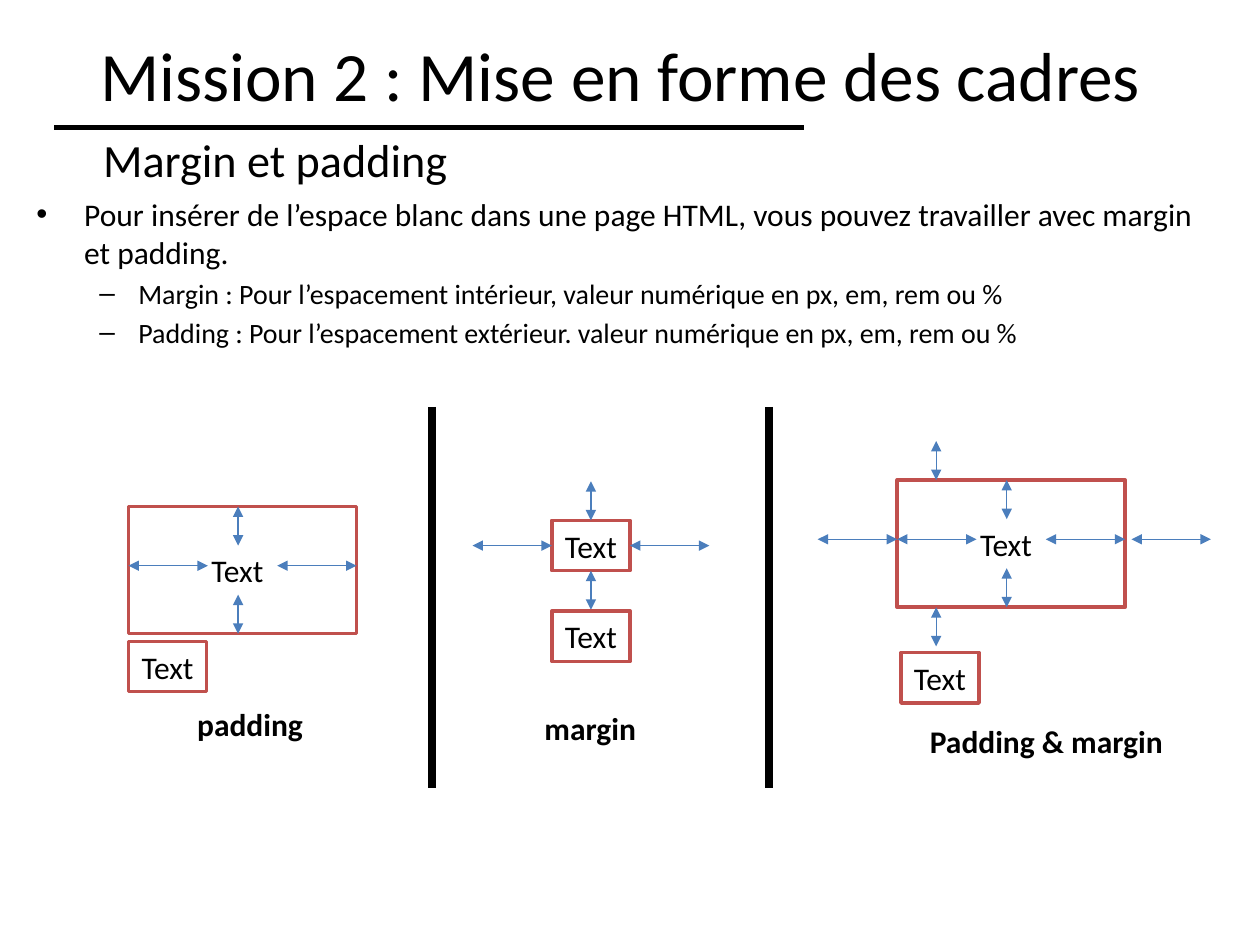
from dataclasses import dataclass

from lxml.etree import SubElement
from pptx import Presentation
from pptx.dml.color import RGBColor
from pptx.enum.shapes import MSO_CONNECTOR, MSO_SHAPE
from pptx.enum.text import MSO_ANCHOR, PP_ALIGN
from pptx.oxml.ns import qn
from pptx.util import Inches, Pt


@dataclass(frozen=True)
class Theme:
    font: str = "Calibri"
    ink: RGBColor = RGBColor(0, 0, 0)
    paper: RGBColor = RGBColor(0xFF, 0xFF, 0xFF)
    frame: RGBColor = RGBColor(0xC0, 0x50, 0x4D)
    arrow: RGBColor = RGBColor(0x4B, 0x7E, 0xBC)
    title: float = 39.6
    subtitle: float = 26.4
    body: float = 18
    detail: float = 16


THEME = Theme()
TITLE = "Mission 2 : Mise en forme des cadres"
SUBTITLE = "Margin et padding"
# text, size, left margin, hanging indent, bullet
BULLETS = [
    ("Pour insérer de l’espace blanc dans une page HTML, vous pouvez travailler "
     "avec margin et padding.", THEME.body, 0.38, 0.38, "•"),
    ("Margin : Pour l’espacement intérieur, valeur numérique en px, em, rem ou %",
     THEME.detail, 0.81, 0.31, "–"),
    ("Padding : Pour l’espacement extérieur. valeur numérique en px, em, rem ou %",
     THEME.detail, 0.81, 0.31, "–"),
]
BOX_TEXT = "Text"
SMALL_BOX = (0.62, 0.4)
PADDED_BOX = (1.81, 1.01)
ARROW_WIDTH, ARROW_HEIGHT = 0.63, 0.31
SMALL_BOXES = [(1.02, 5.09), (4.38, 4.85), (7.15, 5.18)]
PADDED_BOXES = [(1.02, 4.02), (7.12, 3.81)]
MARGIN_BOX = (4.38, 4.13)
CAPTIONS = [("padding", 1.46, 5.55, 1.05), ("margin", 4.22, 5.58, 0.93),
            ("Padding & margin", 7.27, 5.68, 2.07)]
DIVIDERS = [3.43, 6.1]
DIVIDER_TOP, DIVIDER_BOTTOM = 3.23, 6.25


def add_text(paragraph, text, size, bold=False):
    run = paragraph.add_run()
    run.text = text
    run.font.name = THEME.font
    run.font.size = Pt(size)
    run.font.bold = bold
    run.font.color.rgb = THEME.ink


def add_text_box(slide, left, top, width, height):
    frame = slide.shapes.add_textbox(*map(Inches, (left, top, width, height))).text_frame
    frame.word_wrap = True
    return frame


def add_line(slide, start, end, color, weight):
    line = slide.shapes.add_connector(
        MSO_CONNECTOR.STRAIGHT, *map(Inches, (*start, *end)))
    line.line.color.rgb = color
    line.line.width = Pt(weight)
    SubElement(line._element.spPr, qn("a:effectLst"))
    return line


def add_arrow(slide, left, top, horizontal=0, vertical=0):
    """Draw a double-headed arrow spanning the given signed lengths."""
    arrow = add_line(slide, (left, top), (left + horizontal, top + vertical),
                     THEME.arrow, 0.75)
    outline = arrow.line._get_or_add_ln()
    for end in ("a:headEnd", "a:tailEnd"):
        SubElement(outline, qn(end), type="triangle")
    return arrow


def add_box(slide, position, size, right_inset=0.1):
    box = slide.shapes.add_shape(MSO_SHAPE.RECTANGLE, *map(Inches, (*position, *size)))
    box.shadow.inherit = False
    box.fill.solid()
    box.fill.fore_color.rgb = THEME.paper
    box.line.color.rgb = THEME.frame
    box.line.width = Pt(2)
    frame = box.text_frame
    frame.margin_right = Inches(right_inset)
    frame.vertical_anchor = MSO_ANCHOR.MIDDLE
    paragraph = frame.paragraphs[0]
    paragraph.alignment = PP_ALIGN.CENTER
    add_text(paragraph, BOX_TEXT, THEME.body)
    return box


def add_padded_box(slide, left, top):
    """Draw a large box with four arrows between its text and its sides."""
    width, height = PADDED_BOX
    add_box(slide, (left, top), PADDED_BOX, right_inset=0.18)
    center, middle = left + 0.87, top + 0.47
    add_arrow(slide, center, top, vertical=ARROW_HEIGHT)
    add_arrow(slide, center, top + height, vertical=-ARROW_HEIGHT)
    add_arrow(slide, left, middle, horizontal=ARROW_WIDTH)
    add_arrow(slide, left + width, middle, horizontal=-ARROW_WIDTH)


def add_margin_box(slide, left, top):
    """Draw a small box with an arrow joined to the middle of each side."""
    width, height = SMALL_BOX
    box = add_box(slide, (left, top), SMALL_BOX)
    center, middle = left + width / 2, top + height / 2
    arrows = [
        (center, top, 0, -ARROW_HEIGHT),
        (left, middle, -ARROW_WIDTH, 0),
        (center, top + height, 0, ARROW_HEIGHT),
        (left + width, middle, ARROW_WIDTH, 0),
    ]
    for side, arrow in enumerate(arrows):
        add_arrow(slide, *arrow).begin_connect(box, side)


def add_outer_arrows(slide, left, top):
    width, height = PADDED_BOX
    center, middle = left + 0.31, top + 0.47
    add_arrow(slide, center, top, vertical=-ARROW_HEIGHT)
    add_arrow(slide, center, top + height, vertical=ARROW_HEIGHT)
    add_arrow(slide, left, middle, horizontal=-ARROW_WIDTH)
    add_arrow(slide, left + width + 0.05, middle, horizontal=ARROW_WIDTH)


def add_heading(slide):
    add_line(slide, (0.43, 1.01), (6.38, 1.01), THEME.ink, 3)
    title = slide.shapes.title
    title.left, title.top, title.width, title.height = map(
        Inches, (0.28, 0.35, 9.29, 0.47))
    title.text_frame.vertical_anchor = MSO_ANCHOR.MIDDLE
    paragraph = title.text_frame.paragraphs[0]
    paragraph.alignment = PP_ALIGN.CENTER
    add_text(paragraph, TITLE, THEME.title)
    subtitle = add_text_box(slide, 0.72, 1.03, 9.28, 0.47)
    subtitle.vertical_anchor = MSO_ANCHOR.MIDDLE
    add_text(subtitle.paragraphs[0], SUBTITLE, THEME.subtitle)


def add_bullets(slide):
    frame = add_text_box(slide, 0.19, 1.5, 9.61, 1.5)
    for index, (text, size, margin, hanging, bullet) in enumerate(BULLETS):
        paragraph = frame.add_paragraph() if index else frame.paragraphs[0]
        paragraph.space_before = Pt(size * 0.2)
        properties = paragraph._p.get_or_add_pPr()
        properties.set("marL", str(Inches(margin)))
        properties.set("indent", str(-Inches(hanging)))
        SubElement(properties, qn("a:buFont"), typeface="Arial")
        SubElement(properties, qn("a:buChar"), char=bullet)
        add_text(paragraph, text, size)


def main():
    presentation = Presentation()
    presentation.slide_width, presentation.slide_height = Inches(10), Inches(7.5)
    slide = presentation.slides.add_slide(presentation.slide_layouts[5])
    add_heading(slide)
    add_bullets(slide)
    for position in PADDED_BOXES:
        add_padded_box(slide, *position)
    add_outer_arrows(slide, *PADDED_BOXES[-1])
    add_margin_box(slide, *MARGIN_BOX)
    for position in SMALL_BOXES:
        add_box(slide, position, SMALL_BOX)
    for text, left, top, width in CAPTIONS:
        frame = add_text_box(slide, left, top, width, 0.4)
        frame.word_wrap = False
        frame.paragraphs[0].alignment = PP_ALIGN.CENTER
        add_text(frame.paragraphs[0], text, THEME.body, bold=True)
    for left in DIVIDERS:
        add_line(slide, (left, DIVIDER_TOP), (left, DIVIDER_BOTTOM), THEME.ink, 4.5)
    presentation.save("out.pptx")


if __name__ == "__main__":
    main()
